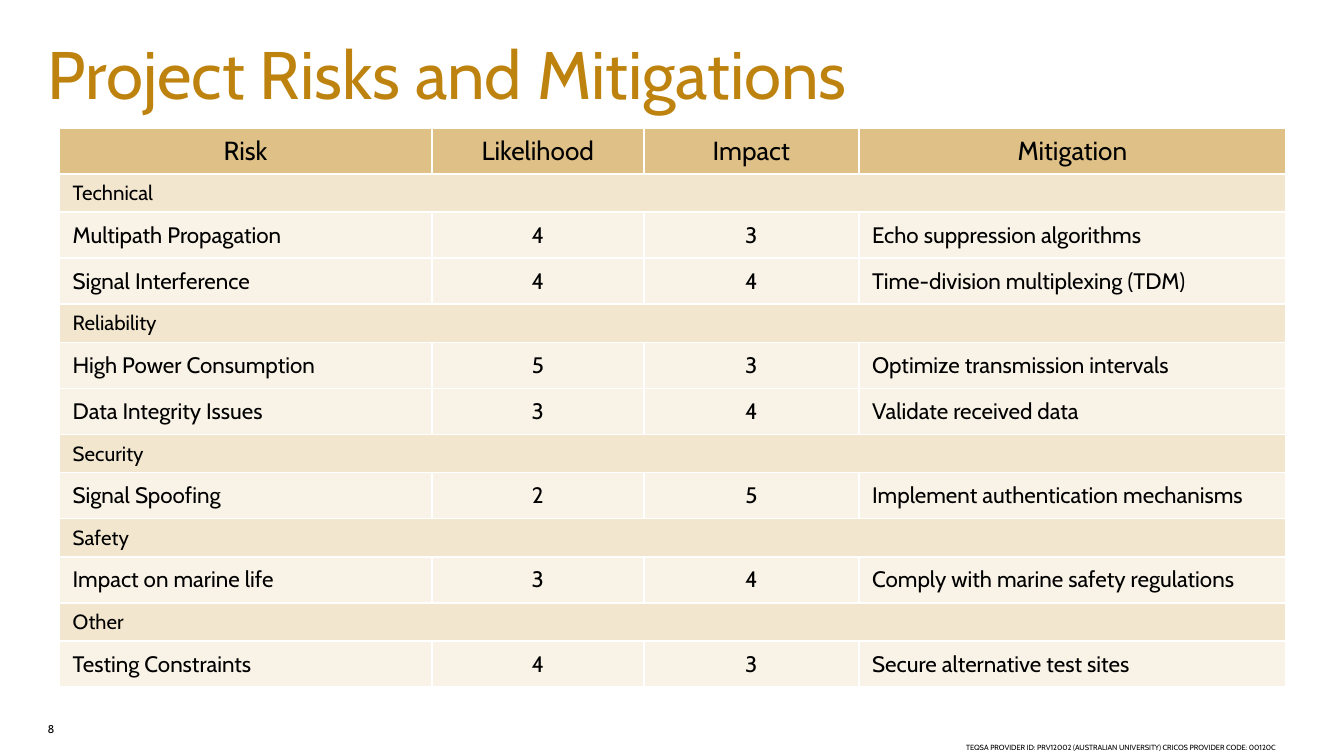
from dataclasses import dataclass

from lxml.etree import SubElement
from pptx import Presentation
from pptx.dml.color import RGBColor
from pptx.enum.text import MSO_ANCHOR, PP_ALIGN
from pptx.oxml.ns import qn
from pptx.util import Cm, Pt


@dataclass(frozen=True)
class Theme:
    font: str = "Cabin"
    text: str = "000000"
    title: str = "BE830E"
    header_fill: str = "DFC187"
    group_fill: str = "F2E6CF"
    risk_fill: str = "F9F3E7"
    border: str = "FFFFFF"
    title_size: int = 36
    header_size: int = 14
    group_size: int = 11
    risk_size: int = 12
    number_size: int = 6
    footer_size: int = 4


theme = Theme()


def add_text(text_frame, text, size, color=theme.text):
    paragraph = text_frame.paragraphs[0]
    run = paragraph.add_run()
    run.text = text
    run.font.name = theme.font
    run.font.size = Pt(size)
    run.font.color.rgb = RGBColor.from_string(color)
    return paragraph


def style_cell(cell, fill, border_width):
    properties = cell._tc.get_or_add_tcPr()
    for side in ("a:lnL", "a:lnR", "a:lnT", "a:lnB"):
        line = SubElement(properties, qn(side), w=str(Pt(border_width)))
        solid = SubElement(line, qn("a:solidFill"))
        SubElement(solid, qn("a:srgbClr"), val=theme.border)
    cell.fill.solid()
    cell.fill.fore_color.rgb = RGBColor.from_string(fill)
    cell.vertical_anchor = MSO_ANCHOR.MIDDLE


presentation = Presentation()
presentation.slide_width = Cm(25.4)
presentation.slide_height = Cm(14.29)
slide = presentation.slides.add_slide(presentation.slide_layouts[6])

# Title, slide number and footer
text_boxes = [
    ("TEQSA PROVIDER ID: PRV12002 (AUSTRALIAN UNIVERSITY) CRICOS PROVIDER CODE: 00120C",
     (18.26, 14.05, 6.6, 0.22), theme.footer_size, theme.text),
    ("Project Risks and Mitigations", (0.9, 0.9, 23, 2.03), theme.title_size, theme.title),
    ("8", (0.9, 13.65, 1, 0.3), theme.number_size, theme.text),
]
for text, position, size, color in text_boxes:
    text_frame = slide.shapes.add_textbox(*map(Cm, position)).text_frame
    text_frame.word_wrap = True
    text_frame.margin_left = text_frame.margin_right = 0
    text_frame.margin_top = text_frame.margin_bottom = 0
    paragraph = add_text(text_frame, text, size, color)
    if size == theme.title_size:
        paragraph.line_spacing = 0.8
        paragraph.space_after = Pt(18)

# Table content: a row with one entry is a group heading
rows = [
    ("Risk", "Likelihood", "Impact", "Mitigation"),
    ("Technical",),
    ("Multipath Propagation", "4", "3", "Echo suppression algorithms"),
    ("Signal Interference", "4", "4", "Time-division multiplexing (TDM)"),
    ("Reliability",),
    ("High Power Consumption", "5", "3", "Optimize transmission intervals"),
    ("Data Integrity Issues", "3", "4", "Validate received data"),
    ("Security",),
    ("Signal Spoofing", "2", "5", "Implement authentication mechanisms"),
    ("Safety",),
    ("Impact on marine life", "3", "4", "Comply with marine safety regulations"),
    ("Other",),
    ("Testing Constraints", "4", "3", "Secure alternative test sites"),
]
column_widths = [7.04, 4.01, 4.06, 8.08]
row_heights = [0.72 if len(row) == 1 else 0.87 for row in rows]

# Risk table
table = slide.shapes.add_table(
    len(rows), len(column_widths), Cm(1.12), Cm(2.42),
    Cm(sum(column_widths)), Cm(sum(row_heights))).table
for column, width in zip(table.columns, column_widths):
    column.width = Cm(width)

for row_index, row in enumerate(rows):
    table.rows[row_index].height = Cm(row_heights[row_index])
    is_header = row_index == 0
    is_group = len(row) == 1
    if is_header:
        fill, size, border_width = theme.header_fill, theme.header_size, 1.5
    elif is_group:
        fill, size, border_width = theme.group_fill, theme.group_size, 1
    else:
        fill, size, border_width = theme.risk_fill, theme.risk_size, 1

    for column_index in range(len(column_widths)):
        style_cell(table.cell(row_index, column_index), fill, border_width)
    if is_group:
        table.cell(row_index, 0).merge(table.cell(row_index, len(column_widths) - 1))
    for column_index, text in enumerate(row):
        paragraph = add_text(table.cell(row_index, column_index).text_frame, text, size)
        if is_header or column_index in (1, 2):
            paragraph.alignment = PP_ALIGN.CENTER

presentation.save("out.pptx")
